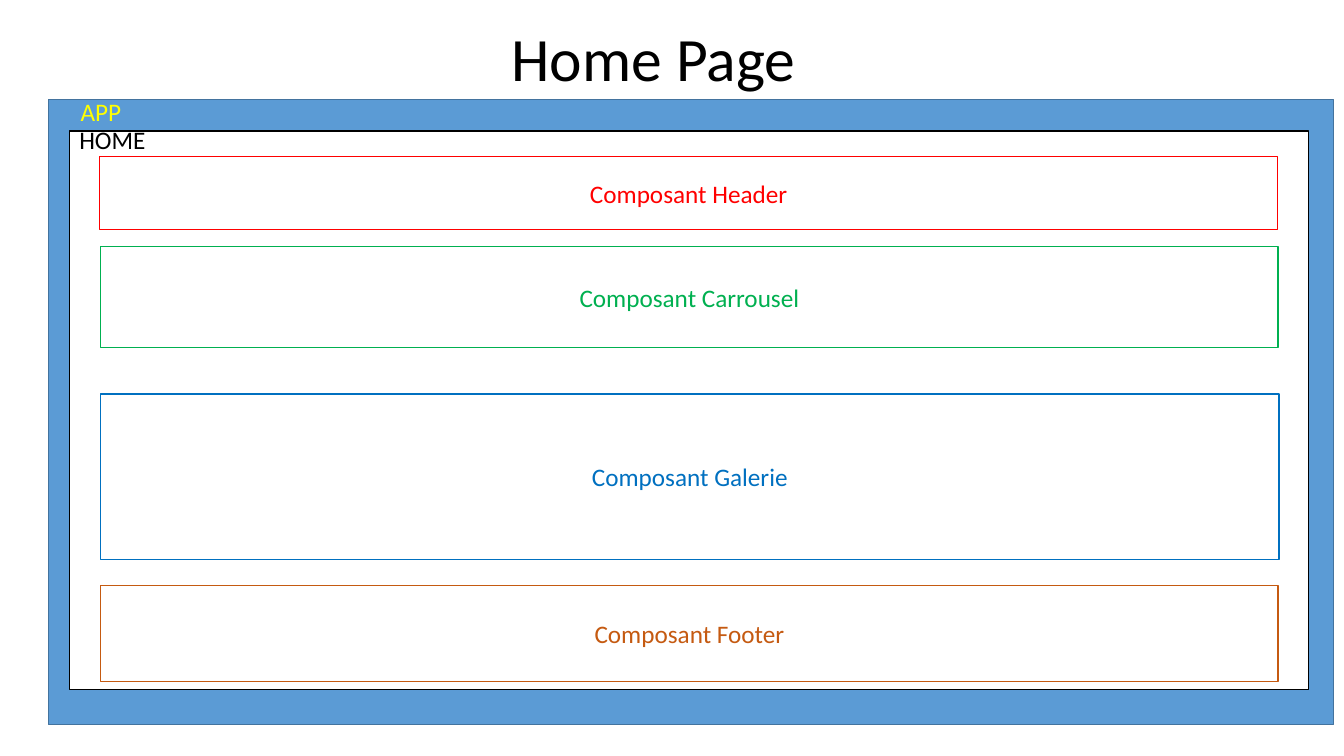
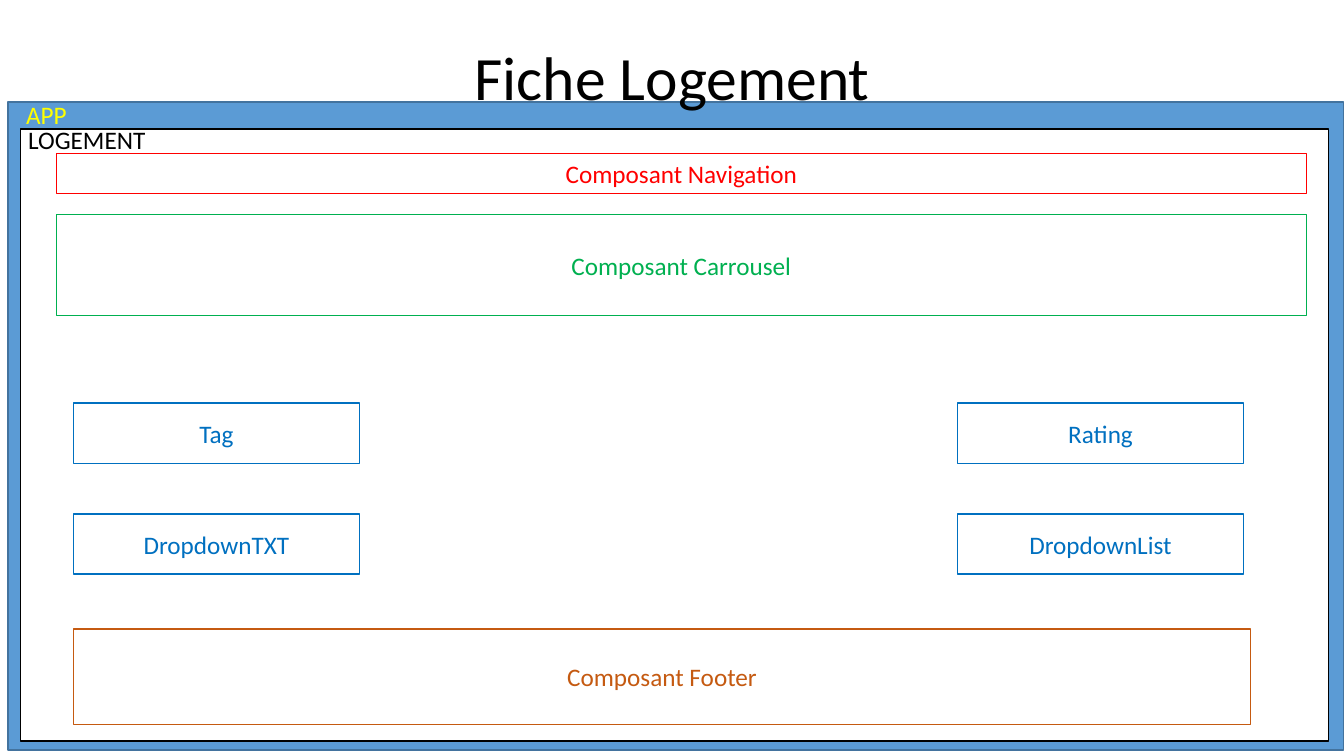
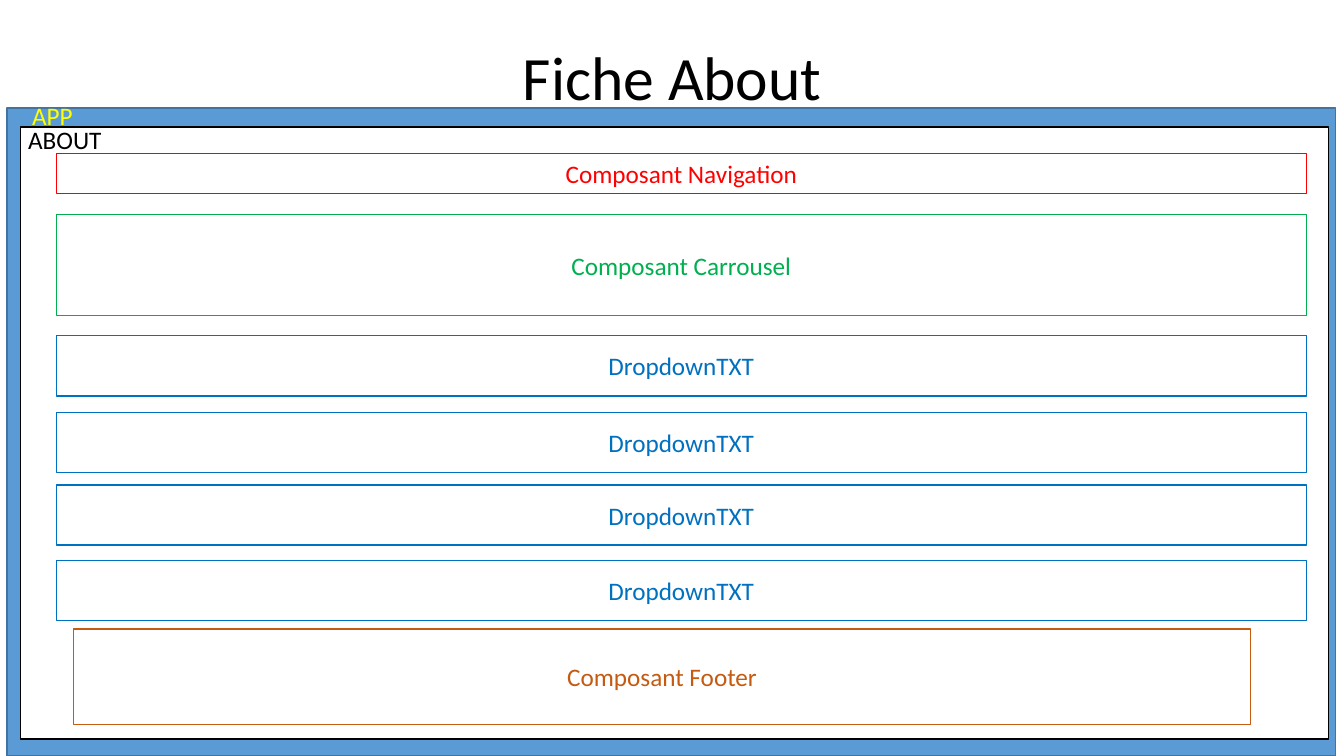
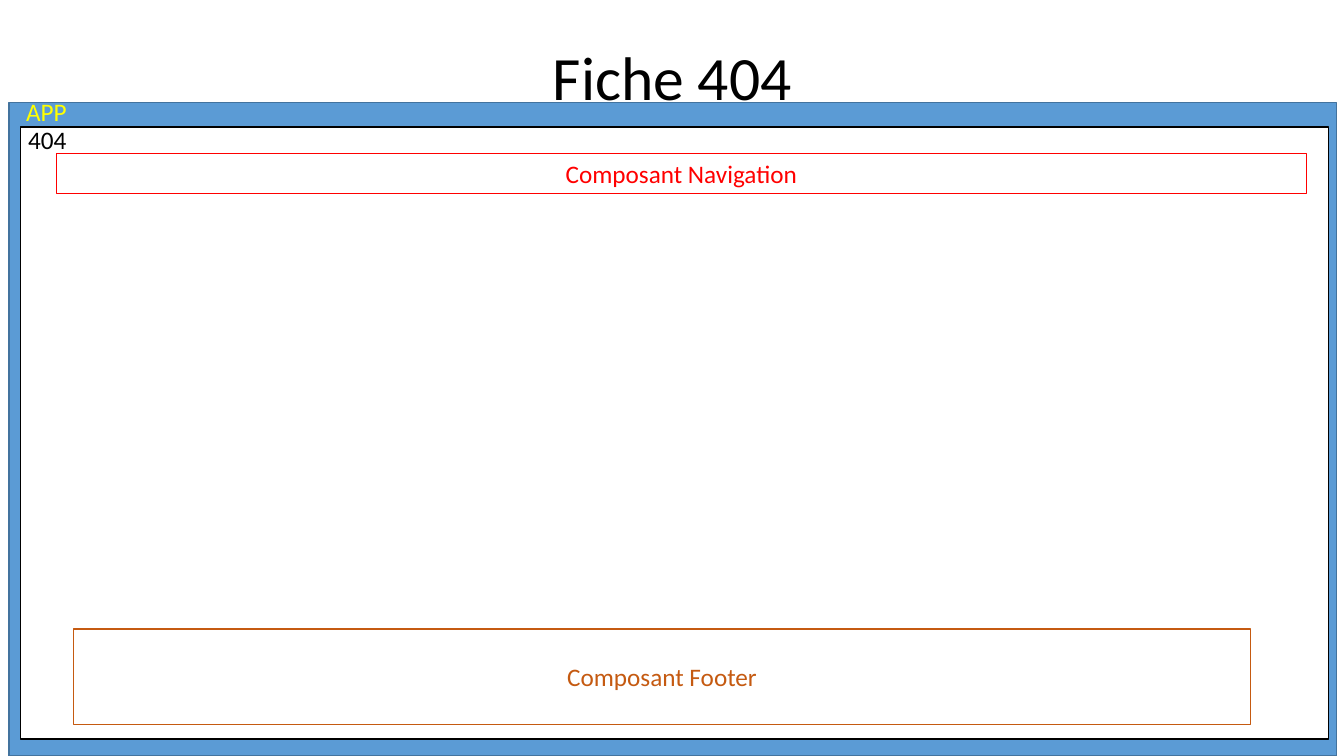
from dataclasses import dataclass

from pptx import Presentation
from pptx.dml.color import RGBColor
from pptx.enum.shapes import MSO_SHAPE
from pptx.enum.text import MSO_ANCHOR, MSO_AUTO_SIZE, PP_ALIGN
from pptx.shapes.autoshape import Shape
from pptx.slide import Slide
from pptx.util import Cm, Pt

RECTANGLE = MSO_SHAPE.RECTANGLE
MIDDLE = MSO_ANCHOR.MIDDLE
CENTER = PP_ALIGN.CENTER
GROW = MSO_AUTO_SIZE.SHAPE_TO_FIT_TEXT

FONT = "Calibri"
TITLE_SIZE = 44
TEXT_SIZE = 18
TITLE_ONLY = 5
LABEL_HEIGHT = 1.02
COLORS = {
    "app": "5B9BD5",
    "app_line": "43739E",
    "app_label": "FFFF00",
    "white": "FFFFFF",
    "black": "000000",
    "header": "FF0000",
    "carousel": "00B050",
    "content": "0070C0",
    "footer": "C55A11",
}


@dataclass(frozen=True)
class Area:
    """A rectangle in centimetres."""

    left: float
    top: float
    width: float
    height: float

    def emu(self) -> tuple[Cm, Cm, Cm, Cm]:
        """Return the four lengths as python-pptx expects them."""
        return Cm(self.left), Cm(self.top), Cm(self.width), Cm(self.height)


@dataclass(frozen=True)
class Component:
    """An outlined box with a centred name in the colour of its line."""

    name: str
    area: Area
    color: str
    fill: str | None = "white"
    line_width: float = 1


@dataclass(frozen=True)
class Label:
    """A one-line caption at the top left of a frame."""

    text: str
    left: float
    top: float
    width: float
    color: str = "black"


@dataclass(frozen=True)
class Page:
    """One wireframe: its title, two nested frames, captions and components."""

    title: str
    app: Area
    frame: Area
    labels: list[Label]
    components: list[Component]
    title_area: Area = Area(2.34, 0.18, 29.21, 3.68)
    title_spacing: float = 0.9


def rgb(name: str) -> RGBColor:
    """Look up a named colour."""
    return RGBColor.from_string(COLORS[name])


def write(sp: Shape, text: str, size: float, color: str) -> None:
    """Put one formatted paragraph into a shape."""
    p = sp.text_frame.paragraphs[0]
    p.text = text
    p.font.name = FONT
    p.font.size = Pt(size)
    p.font.color.rgb = rgb(color)


def add_box(slide: Slide, area: Area, fill: str | None, line: str,
            line_width: float = 1) -> Shape:
    """Draw a flat rectangle."""
    sp = slide.shapes.add_shape(RECTANGLE, *area.emu())
    sp.shadow.inherit = False
    if fill:
        sp.fill.solid()
        sp.fill.fore_color.rgb = rgb(fill)
    else:
        sp.fill.background()
    sp.line.color.rgb = rgb(line)
    sp.line.width = Pt(line_width)
    return sp


def add_component(slide: Slide, item: Component) -> None:
    """Draw a component box with its name."""
    sp = add_box(slide, item.area, item.fill, item.color, item.line_width)
    write(sp, item.name, TEXT_SIZE, item.color)
    sp.text_frame.vertical_anchor = MIDDLE
    sp.text_frame.paragraphs[0].alignment = CENTER


def add_label(slide: Slide, label: Label) -> None:
    """Draw a frame caption."""
    area = Area(label.left, label.top, label.width, LABEL_HEIGHT)
    sp = slide.shapes.add_textbox(*area.emu())
    write(sp, label.text, TEXT_SIZE, label.color)
    sp.text_frame.word_wrap = False
    sp.text_frame.auto_size = GROW


def format_title(slide: Slide, page: Page) -> Shape:
    """Fill and place the title placeholder."""
    sp = slide.shapes.title
    sp.left, sp.top, sp.width, sp.height = page.title_area.emu()
    write(sp, page.title, TITLE_SIZE, "black")
    sp.text_frame.vertical_anchor = MIDDLE
    p = sp.text_frame.paragraphs[0]
    p.alignment = CENTER
    p.line_spacing = page.title_spacing
    return sp


def add_page(prs: Presentation, page: Page) -> None:
    """Build one wireframe slide, with the app frame behind the title."""
    slide = prs.slides.add_slide(prs.slide_layouts[TITLE_ONLY])
    title = format_title(slide, page)
    app = add_box(slide, page.app, "app", "app_line")
    title.element.addprevious(app.element)
    add_box(slide, page.frame, "white", "black")
    for item in page.components:
        add_component(slide, item)
    for label in page.labels:
        add_label(slide, label)


def app_label(left: float, top: float) -> Label:
    """Return the caption of the app frame."""
    return Label("APP", left, top, 1.55, "app_label")


def wide(top: float, height: float) -> Area:
    """Return a full-width row of the inner pages."""
    return Area(1.42, top, 31.5, height)


NAVIGATION = Component("Composant Navigation", wide(3.86, 1.02), "header", None, 0.75)
CAROUSEL = Component("Composant Carrousel", wide(5.41, 2.54), "carousel")
FOOTER = Component("Composant Footer", Area(1.85, 15.85, 29.67, 2.41), "footer")
INNER_FRAME = Area(0.51, 3.2, 32.97, 15.42)

TILE_LEFTS = (1.85, 24.13)
TILE_ROWS = {10.16: ("Tag", "Rating"), 12.95: ("DropdownTXT", "DropdownList")}
TILES = [
    Component(name, Area(left, top, 7.21, 1.52), "content")
    for top, names in TILE_ROWS.items()
    for left, name in zip(TILE_LEFTS, names)
]
DROPDOWNS = [
    Component("DropdownTXT", wide(top, 1.52), "content")
    for top in (8.46, 10.39, 12.22, 14.12)
]

PAGES = [
    Page(
        "Home Page",
        app=Area(1.22, 2.51, 32.39, 15.75),
        frame=Area(1.75, 3.3, 31.22, 14.07),
        labels=[app_label(1.78, 2.31), Label("HOME", 1.75, 3.02, 2.18)],
        components=[
            Component("Composant Header", Area(2.51, 3.94, 29.69, 1.85), "header"),
            Component("Composant Carrousel", Area(2.54, 6.22, 29.67, 2.54), "carousel"),
            Component("Composant Galerie", Area(2.54, 9.93, 29.69, 4.17), "content"),
            Component("Composant Footer", Area(2.54, 14.76, 29.67, 2.41), "footer"),
        ],
        title_area=Area(8.43, 0.38, 16.08, 2.13),
        title_spacing=1.0,
    ),
    Page(
        "Fiche Logement",
        app=Area(0.2, 2.57, 33.66, 16.33),
        frame=Area(0.51, 3.25, 32.97, 15.42),
        labels=[app_label(0.41, 2.39), Label("LOGEMENT", 0.46, 3.02, 3.51)],
        components=[NAVIGATION, CAROUSEL, *TILES, FOOTER],
    ),
    Page(
        "Fiche About",
        app=Area(0.18, 2.72, 33.48, 16.33),
        frame=INNER_FRAME,
        labels=[app_label(0.56, 2.41), Label("ABOUT", 0.46, 3.02, 2.36)],
        components=[NAVIGATION, CAROUSEL, *DROPDOWNS, FOOTER],
    ),
    Page(
        "Fiche 404",
        app=Area(0.23, 2.59, 33.45, 16.46),
        frame=INNER_FRAME,
        labels=[app_label(0.41, 2.31), Label("404", 0.46, 3.02, 1.5)],
        components=[NAVIGATION, FOOTER],
    ),
]


def main() -> None:
    """Build and save the presentation."""
    prs = Presentation()
    prs.slide_width, prs.slide_height = Cm(33.87), Cm(19.05)
    for page in PAGES:
        add_page(prs, page)
    prs.save("out.pptx")


main()
